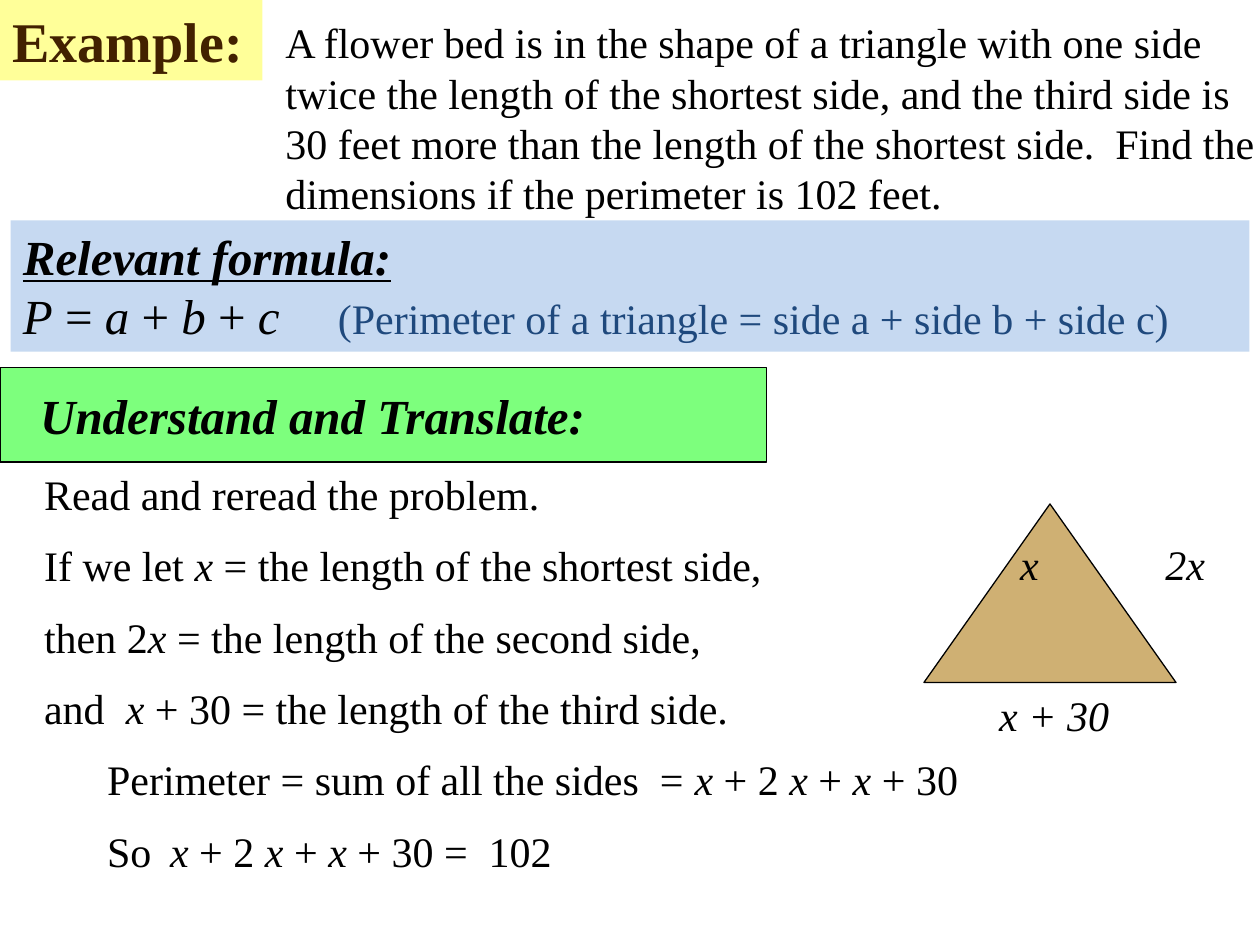
from pptx import Presentation
from pptx import util as u
from pptx.dml import color as c
from pptx.enum import shapes, text
from pptx.oxml import ns
from lxml import etree


def rgb(value):
    return c.RGBColor.from_string(value)


class Deck:
    font, ink = "Times New Roman", "000000"
    body, heading, title_size = 24, 28, 32

    def __init__(self, width, height):
        self.prs = Presentation()
        self.prs.slide_width, self.prs.slide_height = u.Pt(width), u.Pt(height)
        self.s = self.prs.slides.add_slide(self.prs.slide_layouts[1])

    def place(self, sp, box):
        sp.left, sp.top, sp.width, sp.height = [u.Pt(v) for v in box]
        return sp

    def frame(self, sp, anchor=text.MSO_ANCHOR.TOP, left=7.2):
        tf = sp.text_frame
        tf.word_wrap, tf.auto_size = True, text.MSO_AUTO_SIZE.NONE
        tf.vertical_anchor, tf.margin_left = anchor, u.Pt(left)
        return tf

    def setup(self, p, tabs=(), before=0):
        """Plain left-aligned paragraph with optional tab stops."""
        pPr = p._p.get_or_add_pPr()
        pPr.set("marL", "0")
        pPr.set("indent", "0")
        etree.SubElement(pPr, ns.qn("a:buNone"))
        if tabs:
            stops = etree.SubElement(pPr, ns.qn("a:tabLst"))
            for pos in tabs:
                etree.SubElement(stops, ns.qn("a:tab"), pos=str(u.Pt(pos)), algn="l")
        p.alignment = text.PP_ALIGN.LEFT
        p.space_before = u.Pt(before)

    def add_runs(self, p, content, size=body, color=ink, bold=False, underline=False):
        """Append runs; text between asterisks is italic."""
        for i, part in enumerate(content.split("*")):
            if part:
                r = p.add_run()
                r.text = part
                f = r.font
                f.name, f.size, f.color.rgb = self.font, u.Pt(size), rgb(color)
                f.bold, f.italic, f.underline = bold, i % 2 == 1, underline

    def title(self, content, box, fill, color):
        sp = self.place(self.s.shapes.title, box)
        sp.fill.solid()
        sp.fill.fore_color.rgb = rgb(fill)
        p = self.frame(sp).paragraphs[0]
        self.setup(p)
        self.add_runs(p, content, self.title_size, color, bold=True)

    def lines(self, rows, box, tabs, gap):
        tf = self.frame(self.place(self.s.placeholders[1], box))
        for i, row in enumerate(rows):
            p = tf.add_paragraph() if i else tf.paragraphs[0]
            self.setup(p, tabs, gap if i else 0)
            self.add_runs(p, row)

    def shape(self, kind, box, fill, line=None):
        sp = self.s.shapes.add_shape(kind, *[u.Pt(v) for v in box])
        sp.shadow.inherit = False
        sp.fill.solid()
        sp.fill.fore_color.rgb = rgb(fill)
        if line:
            sp.line.color.rgb, sp.line.width = rgb(line), u.Pt(0.75)
        else:
            sp.line.fill.background()
        return sp

    def textbox(self, content, box, margin=True):
        tf = self.frame(self.s.shapes.add_textbox(*[u.Pt(v) for v in box]))
        if not margin:
            tf.margin_left = tf.margin_top = tf.margin_right = tf.margin_bottom = 0
        self.setup(tf.paragraphs[0])
        self.add_runs(tf.paragraphs[0], content)


def main():
    d = Deck(720, 540)
    rect = shapes.MSO_SHAPE.RECTANGLE

    # Title and problem statement
    d.title("Example:", (0, 0, 150, 46), "FFFF99", "422100")
    d.textbox("A flower bed is in the shape of a triangle with one side twice the "
              "length of the shortest side, and the third side is 30 feet more than "
              "the length of the shortest side.  Find the dimensions if the "
              "perimeter is 102 feet.", (156, 6, 576, 126))

    # Section heading
    heading = d.shape(rect, (0, 210, 438, 54), "7DFF7D", d.ink)
    p = d.frame(heading, text.MSO_ANCHOR.MIDDLE, 23).paragraphs[0]
    d.setup(p)
    d.add_runs(p, "*Understand and Translate:*", d.heading, bold=True)

    # Worked steps
    d.lines(["Read and reread the problem.",
             "If we let *x* = the length of the shortest side,",
             "then 2*x* = the length of the second side,",
             "and  *x* + 30 = the length of the third side.",
             "\tPerimeter = sum of all the sides  = *x* + 2 *x* + *x* + 30",
             "\tSo\t*x* + 2 *x* + *x* + 30 =  102"],
            (18, 264, 684, 254), tabs=(72, 115.5), gap=12)

    # Triangle with its side labels
    d.shape(shapes.MSO_SHAPE.ISOSCELES_TRIANGLE, (528, 288, 144, 102), "CFB073", d.ink)
    for label, left, top, width in (("x", 583, 307.5, 20), ("2x", 666, 307.5, 30),
                                    ("x + 30", 571, 394, 80)):
        d.textbox(f"*{label}*", (left, top, width, 29), margin=False)

    # Formula band
    tf = d.frame(d.shape(rect, (6, 126, 708, 75), "C6D9F1"))
    p = tf.paragraphs[0]
    d.setup(p)
    d.add_runs(p, "*Relevant formula:*", d.heading, bold=True, underline=True)
    p = tf.add_paragraph()
    d.setup(p, tabs=(188.5,))
    d.add_runs(p, "*P* = *a* + *b* + *c*\t", d.heading)
    d.add_runs(p, "(Perimeter of a triangle = side a + side b + side c)", color="1F497D")

    d.prs.save("out.pptx")


if __name__ == "__main__":
    main()
